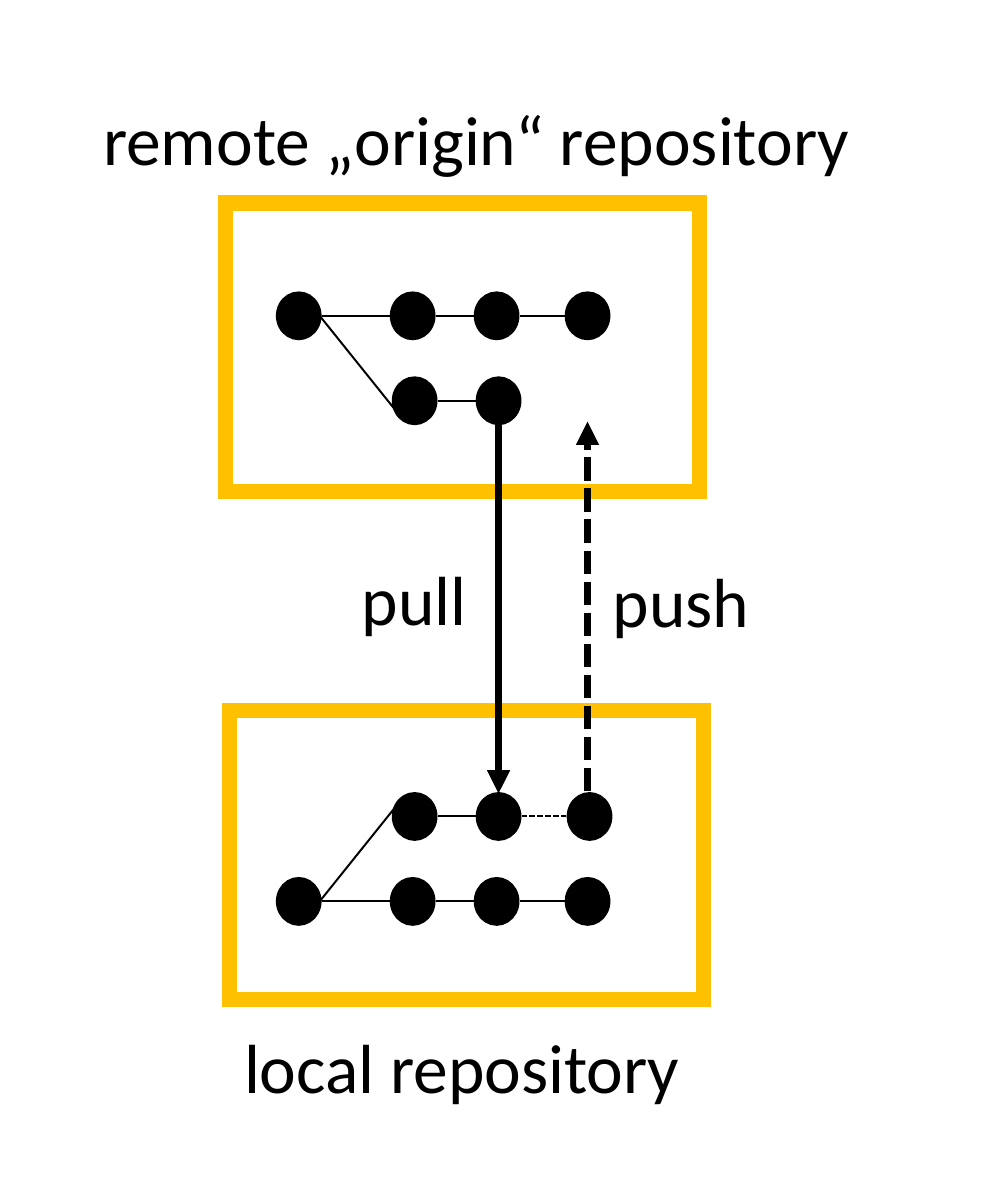
from lxml import etree
from pptx import Presentation
from pptx.dml.color import RGBColor
from pptx.enum.dml import MSO_LINE
from pptx.enum.shapes import MSO_CONNECTOR, MSO_SHAPE
from pptx.enum.text import MSO_AUTO_SIZE, PP_ALIGN
from pptx.oxml.ns import qn
from pptx.util import Cm, Pt

RECT, OVAL = MSO_SHAPE.RECTANGLE, MSO_SHAPE.OVAL
STRAIGHT, DASH = MSO_CONNECTOR.STRAIGHT, MSO_LINE.SQUARE_DOT
CENTER, FIT = PP_ALIGN.CENTER, MSO_AUTO_SIZE.SHAPE_TO_FIT_TEXT

# Page format
SLIDE_W, SLIDE_H = Cm(9), Cm(11)

# Content, lengths in px
COLORS = {"ink": "000000", "paper": "FFFFFF", "frame": "FFC000"}
FONT, TEXT_PT = "Calibri", 18
LABEL_H = 111
LABELS = [  # text, left, top, width
    ("pull", 320, 543, 189),
    ("remote „origin“ repository", 40, 82, 874),
    ("push", 566, 545, 231),
    ("local repository", 165, 1011, 595),
]
FRAME_SIZE = (474, 289)
FRAMES = [(230, 711), (226, 203)]
MAIN_X = [299, 413, 497, 588]
BRANCH_X = [415, 499]
UNPUSHED_X = 590
ROW_GAP = 85
HISTORIES = [  # main row y, branch direction, unpushed commits
    (316, 1, []),
    (902, -1, [UNPUSHED_X]),
]
DOT_W, DOT_H = 42, 45
DOT_EDGE = 23
BRANCH_JOIN = (-14, 16)
PULL = (499, 423, 499, 794)
PUSH = (588, 792, 588, 422)

EMU_PER_PX = 914400 / 278.2


def px(*lengths):
    return [round(n * EMU_PER_PX) for n in lengths]


def rgb(name):
    return RGBColor.from_string(COLORS[name])


def add_shape(shapes, kind, box, fill, line, width):
    sp = shapes.add_shape(kind, *px(*box))
    sp.shadow.inherit = False
    sp.fill.solid()
    sp.fill.fore_color.rgb = rgb(fill)
    sp.line.color.rgb = rgb(line)
    sp.line.width = Pt(width)
    # Sharp corners
    etree.SubElement(sp.line._get_or_add_ln(), qn("a:miter"), lim="800000")


def add_line(shapes, ends, width, dashed=False, arrow=False):
    cx = shapes.add_connector(STRAIGHT, *px(*ends))
    cx.line.color.rgb = rgb("ink")
    cx.line.width = Pt(width)
    if dashed:
        cx.line.dash_style = DASH
    if arrow:
        etree.SubElement(cx.line._get_or_add_ln(), qn("a:tailEnd"), type="triangle")
    etree.SubElement(cx._element.spPr, qn("a:effectLst"))


def add_label(shapes, text, left, top, width):
    tf = shapes.add_textbox(*px(left, top, width, LABEL_H)).text_frame
    tf.word_wrap = True
    tf.auto_size = FIT
    p = tf.paragraphs[0]
    p.alignment = CENTER
    r = p.add_run()
    r.text = text
    r.font.name = FONT
    r.font.size = Pt(TEXT_PT)
    r.font.color.rgb = rgb("ink")


def add_history(shapes, main_y, direction, unpushed):
    group = shapes.add_group_shape().shapes
    branch_y = main_y + direction * ROW_GAP
    rows = [(MAIN_X, main_y), (BRANCH_X + unpushed, branch_y)]
    # Commits
    for xs, y in rows:
        for x in xs:
            box = (x - DOT_W / 2, y - DOT_H / 2, DOT_W, DOT_H)
            add_shape(group, OVAL, box, "ink", "ink", 1)
    # Links between neighbours, dashed to unpushed commits
    for xs, y in rows:
        for x1, x2 in zip(xs, xs[1:]):
            ends = (x2 - DOT_EDGE, y, x1 + DOT_EDGE, y)
            add_line(group, ends, 0.5, dashed=x2 in unpushed)
    # Branch off the first commit
    dx, dy = BRANCH_JOIN
    add_line(group, (BRANCH_X[0] + dx, branch_y + direction * dy,
                     MAIN_X[0] + DOT_EDGE - 2, main_y), 0.5)


prs = Presentation()
prs.slide_width, prs.slide_height = SLIDE_W, SLIDE_H
shapes = prs.slides.add_slide(prs.slide_layouts[6]).shapes

# Repositories
for corner in FRAMES:
    add_shape(shapes, RECT, corner + FRAME_SIZE, "paper", "frame", 4)

# Transfers, labels and commit histories
add_line(shapes, PULL, 2, arrow=True)
for label in LABELS:
    add_label(shapes, *label)
for history in HISTORIES:
    add_history(shapes, *history)
add_line(shapes, PUSH, 2, dashed=True, arrow=True)

prs.save("out.pptx")
